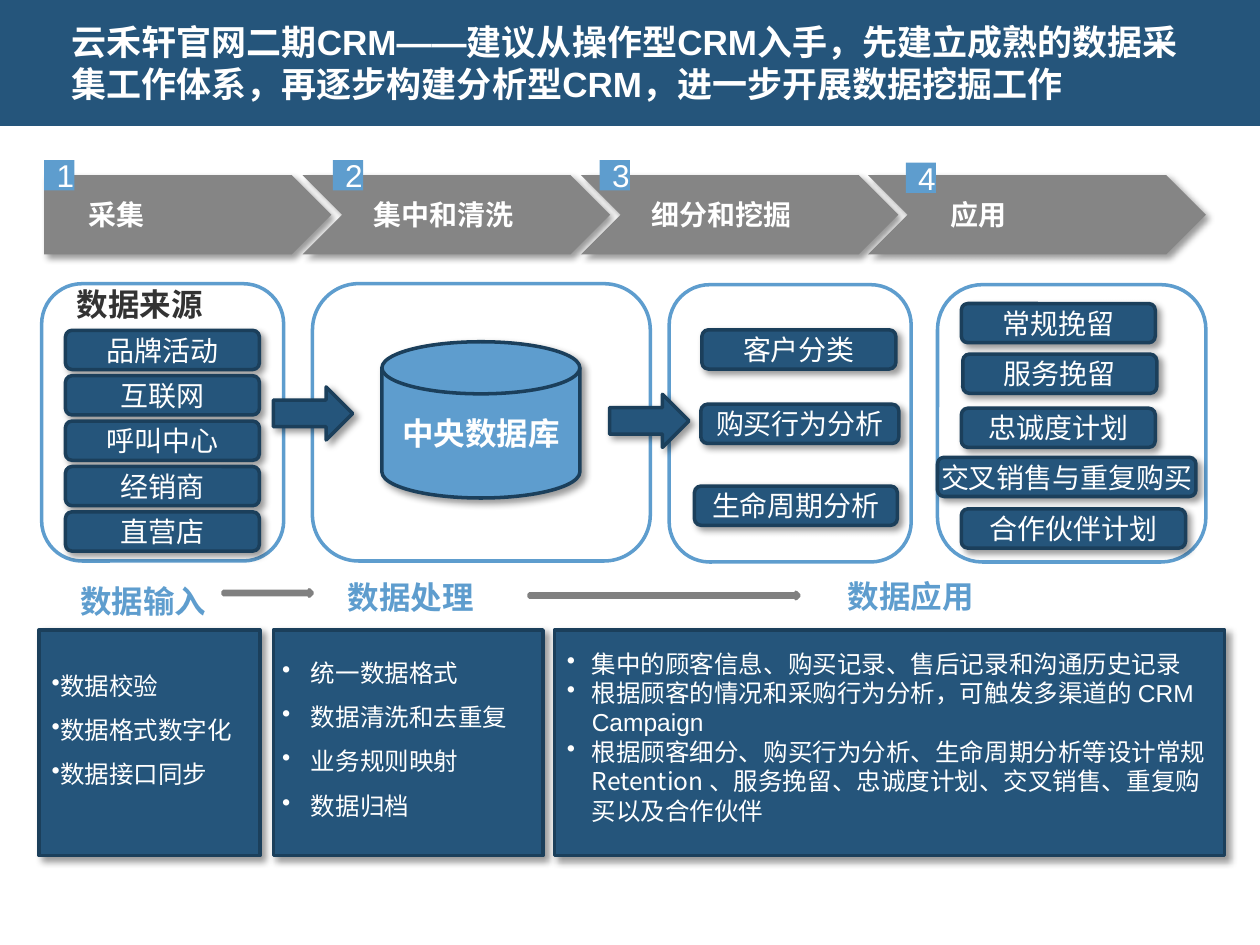
import pptx
import pptx.util
import pptx.dml.color
import pptx.enum.shapes
import pptx.enum.text
import pptx.oxml
from pptx.oxml.ns import qn
import lxml.etree as etree

Cm = pptx.util.Cm
Pt = pptx.util.Pt
SHAPE = pptx.enum.shapes.MSO_SHAPE
ALIGN = pptx.enum.text.PP_ALIGN
ANCHOR = pptx.enum.text.MSO_ANCHOR

COLORS = {"navy": "25557B", "edge": "1B3F5B", "blue": "5E9DCE", "step": "858585",
          "link": "808080", "dark": "333333", "white": "FFFFFF", "black": "000000"}
LATIN = "Arial"
CJK = "Noto Sans CJK SC"
BUTTON_W, BUTTON_H = 3.91, 0.79


def rgb(name):
    return pptx.dml.color.RGBColor.from_string(COLORS[name])


def add_shadow(props, blur=4, dist=3, alpha=40):
    for old in props.findall(qn("a:effectLst")):
        props.remove(old)
    effects = etree.SubElement(props, qn("a:effectLst"))
    shadow = etree.SubElement(effects, qn("a:outerShdw"), blurRad=str(Pt(blur)),
                              dist=str(Pt(dist)), dir="2700000", algn="tl", rotWithShape="0")
    color = etree.SubElement(shadow, qn("a:srgbClr"), val=COLORS["black"])
    etree.SubElement(color, qn("a:alpha"), val=str(alpha * 1000))


def set_font(font, size, color="white", bold=False, name=LATIN):
    font.size = Pt(size)
    font.bold = bold
    font.name = name
    font.color.rgb = rgb(color)


def add_shape(s, kind, box, fill=None, line=None, shadow=False):
    sp = s.shapes.add_shape(kind, *map(Cm, box))
    sp.shadow.inherit = False
    if fill:
        sp.fill.solid()
        sp.fill.fore_color.rgb = rgb(fill)
    else:
        sp.fill.background()
    if line:
        sp.line.color.rgb = rgb(line)
        sp.line.width = Pt(2)
    else:
        sp.line.fill.background()
    if shadow:
        add_shadow(sp._element.spPr)
    return sp


def add_text(sp, text, size, color="white", bold=False, align=ALIGN.CENTER):
    tf = sp.text_frame
    tf.word_wrap = True
    tf.vertical_anchor = ANCHOR.MIDDLE
    p = tf.paragraphs[0]
    p.alignment = align
    p.add_run().text = text
    set_font(p.font, size, color, bold)
    return tf


def add_label(s, box, text, color):
    tb = s.shapes.add_textbox(*map(Cm, box))
    tf = add_text(tb, text, 18, color, True, ALIGN.LEFT)
    tf.vertical_anchor = ANCHOR.TOP


def add_title(s, box, text):
    x, y, w, h = box
    add_shape(s, SHAPE.RECTANGLE, box, "navy")
    tb = s.shapes.add_textbox(Cm(x + 1.19), Cm(y), Cm(w - 2.39), Cm(h))
    tf = add_text(tb, text, 20, bold=True, align=ALIGN.LEFT)
    add_shadow(tf.paragraphs[0].runs[0]._r.get_or_add_rPr(), 0, 3, 100)


def add_steps(s, box, steps):
    x, y, w, h = box
    for i, (text, dx, step_w, indent, badge_dx, badge_dy) in enumerate(steps):
        kind = SHAPE.CHEVRON if i else SHAPE.PENTAGON
        sp = add_shape(s, kind, (x + dx, y + 0.3, step_w, h - 0.3), "step", shadow=True)
        tf = add_text(sp, text, 16, bold=True, align=ALIGN.LEFT)
        tf.margin_left = Cm(indent)
        badge = add_shape(s, SHAPE.RECTANGLE, (x + badge_dx, y + badge_dy, 0.61, 0.61), "blue")
        add_text(badge, str(i + 1), 18)


def add_panel(s, box, buttons=()):
    x, y, w, h = box
    add_shape(s, SHAPE.ROUNDED_RECTANGLE, box, line="blue")
    for text, dx, dy, button_w in buttons:
        sp = add_shape(s, SHAPE.ROUNDED_RECTANGLE, (x + dx, y + dy, button_w, BUTTON_H),
                       "navy", "edge", True)
        tf = add_text(sp, text, 16)
        tf.margin_left = tf.margin_right = 0


def add_sources(s, box, names):
    x, y, w, h = box
    add_panel(s, box, [(name, 0.48, 0.94 + 0.915 * i, BUTTON_W) for i, name in enumerate(names)])
    add_label(s, (x + 0.46, y - 0.1, 4.04, 1.02), "数据来源", "dark")


def add_database(s, box):
    x, y, w, h = box
    add_panel(s, box)
    disk = add_shape(s, SHAPE.FLOWCHART_MAGNETIC_DISK, (x + 1.4, y + 1.17, 3.99, 3.15),
                     "blue", "edge", True)
    add_text(disk, "中央数据库", 18, bold=True)


def add_notes_box(s, box, offset, items, indent, spacing):
    x, y, w, h = box
    dx, dy = offset
    add_shape(s, SHAPE.RECTANGLE, box, "navy", "edge", True)
    tb = s.shapes.add_textbox(Cm(x + dx), Cm(y + dy), Cm(w), Cm(h - 0.8))
    tf = tb.text_frame
    tf.word_wrap = True
    for i, runs in enumerate(items):
        p = tf.paragraphs[0] if i == 0 else tf.add_paragraph()
        p.line_spacing = spacing
        set_font(p.font, 14, name=CJK)
        pPr = p._p.get_or_add_pPr()
        pPr.set("marL", str(Cm(indent)))
        pPr.set("indent", str(-Cm(indent)))
        bullet = etree.Element(qn("a:buChar"), char="•")
        pPr.find(qn("a:defRPr")).addprevious(bullet)
        for text, name in runs:
            if text == "\n":
                p.add_line_break()
                continue
            r = p.add_run()
            r.text = text
            if name != CJK:
                r.font.name = name


def plain(*texts):
    return [[(text, CJK)] for text in texts]


def main():
    prs = pptx.Presentation()
    prs.slide_width, prs.slide_height = Cm(25.4), Cm(19.05)
    s = prs.slides.add_slide(prs.slide_layouts[6])

    add_title(s, (0, 0, 25.4, 2.54),
              "云禾轩官网二期CRM——建议从操作型CRM入手，先建立成熟的数据采集工作体系，"
              "再逐步构建分析型CRM，进一步开展数据挖掘工作")
    add_steps(s, (0.89, 3.23, 23.42, 1.9), [
        ("采集", 0, 5.79, 0.89, 0, 0),
        ("集中和清洗", 5.21, 6.2, 0.63, 5.82, 0),
        ("细分和挖掘", 10.82, 6.4, 0.63, 11.2, 0),
        ("应用", 16.61, 6.81, 0.87, 17.37, 0.05)])

    add_sources(s, (0.84, 5.72, 4.88, 5.59), ["品牌活动", "互联网", "呼叫中心", "经销商", "直营店"])
    add_database(s, (6.3, 5.72, 6.81, 5.59))
    add_panel(s, (13.49, 5.74, 4.88, 5.59), [
        ("客户分类", 0.66, 0.91, BUTTON_W),
        ("购买行为分析", 0.64, 2.41, 3.99),
        ("生命周期分析", 0.51, 4.06, 4.09)])
    add_panel(s, (18.9, 5.74, 5.41, 5.59), [
        ("常规挽留", 0.48, 0.38, BUTTON_W),
        ("服务挽留", 0.51, 1.4, BUTTON_W),
        ("忠诚度计划", 0.48, 2.49, BUTTON_W),
        ("交叉销售与重复购买", 0, 3.48, 5.21),
        ("合作伙伴计划", 0.48, 4.52, 4.52)])
    for x, y in [(5.51, 7.8), (12.29, 7.95)]:
        add_shape(s, SHAPE.RIGHT_ARROW, (x, y, 1.6, 1.07), "navy", "edge", True)

    for text, x, y, w in [("数据输入", 1.37, 11.61, 4.55), ("数据处理", 6.76, 11.53, 5.79),
                          ("数据应用", 16.84, 11.51, 4.62)]:
        add_label(s, (x, y, w, 1.02), text, "blue")
    for x, y, w in [(4.5, 11.89, 1.8), (10.67, 11.94, 5.44)]:
        add_shape(s, SHAPE.RIGHT_ARROW, (x, y, w, 0.13), "link", "link")

    add_notes_box(s, (0.79, 12.7, 4.45, 4.55), (0, 0.41),
                  plain("数据校验", "数据格式数字化", "数据接口同步"), 0, 1.5)
    add_notes_box(s, (5.51, 12.7, 5.44, 4.55), (-0.07, 0.15),
                  plain("统一数据格式", "数据清洗和去重复", "业务规则映射", "数据归档"), 0.58, 1.5)
    add_notes_box(s, (11.18, 12.7, 13.51, 4.55), (0, 0.25), [
        [("集中的顾客信息、购买记录、售后记录和沟通历史记录", CJK)],
        [("根据顾客的情况和采购行为分析，可触发多渠道的 ", CJK), ("CRM", LATIN),
         ("\n", CJK), ("Campaign", LATIN)],
        [("根据顾客细分、购买行为分析、生命周期分析等设计常规", CJK), ("\n", CJK),
         ("Retention 、服务挽留、忠诚度计划、交叉销售、重复购", CJK), ("\n", CJK),
         ("买以及合作伙伴", CJK)]], 0.5, 1)
    prs.save("out.pptx")


if __name__ == "__main__":
    main()
